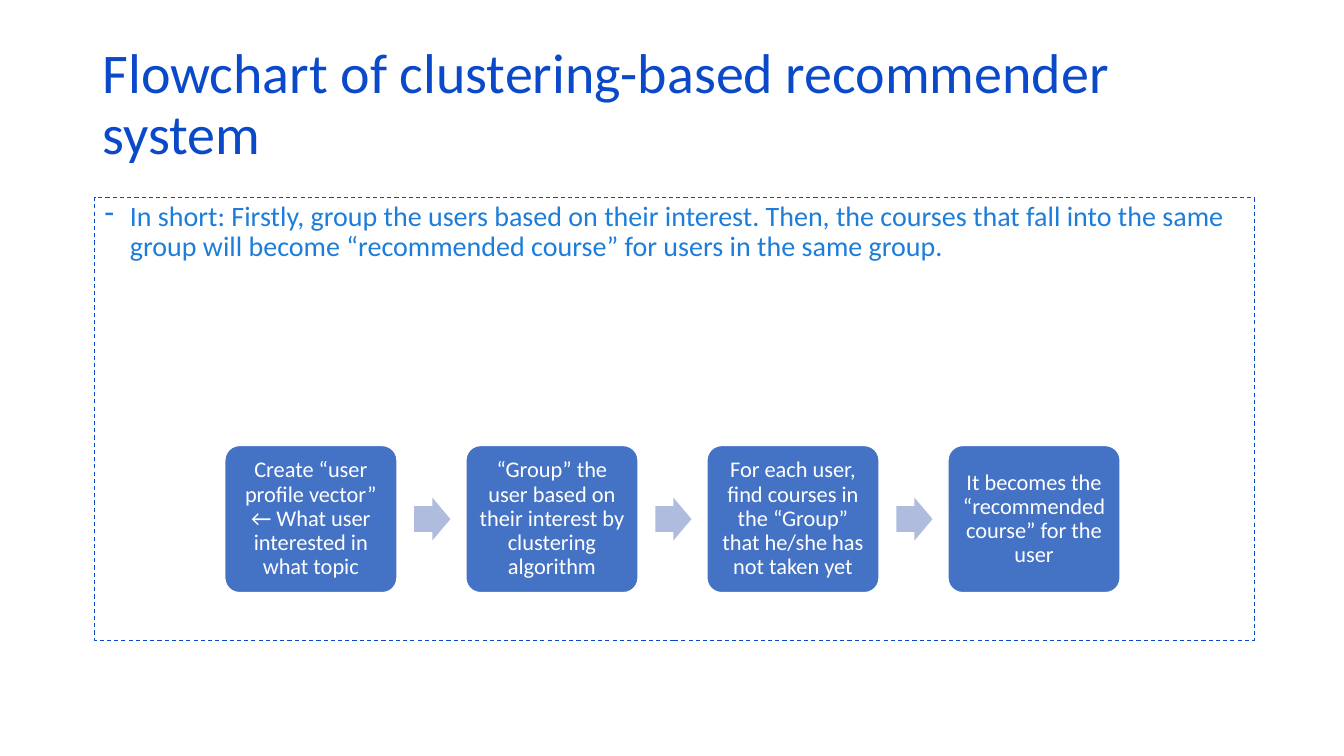
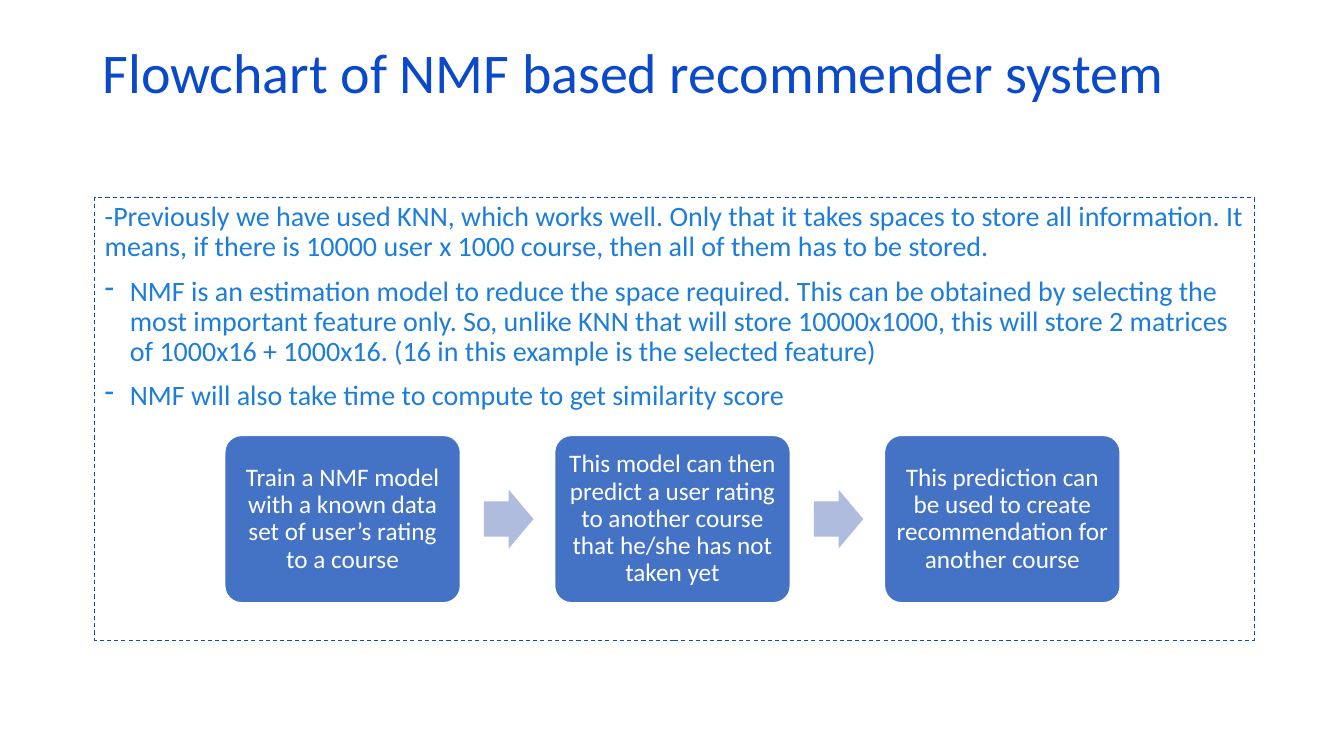
from lxml import etree
from pptx import Presentation, util as u
from pptx.dml.color import RGBColor
from pptx.enum import dml, shapes, text
from pptx.oxml import ns

WIDTH, HEIGHT = 13.33, 7.5
FONT = "Calibri"
COLORS = {"title": "0B49CB", "body": "1C7DDB", "box": "4472C4",
          "arrow": "B0BCDE", "white": "FFFFFF"}
TITLE_AREA = (0.92, 0.4, 11.5, 1.45)
BODY_AREA = (0.94, 1.96, 11.5, 4.39)
FLOW_LEFT, FLOW_WIDTH, FLOW_MIDDLE = 2.23, 8.88, 5.15
GAP_SHARE, ARROW_WIDTH_SHARE, ARROW_HEIGHT_SHARE = 0.4, 0.21, 0.25
INDENT = 0.25

SLIDES = [
    {
        "title": "Flowchart of clustering-based recommender system",
        "body": [
            ("-", "In short: Firstly, group the users based on their interest. Then, the courses that fall into the same group will become “recommended course” for users in the same group."),
        ],
        "steps": [
            "Create “user profile vector” ← What user interested in what topic",
            "“Group” the user based on their interest by clustering algorithm",
            "For each user, find courses in the “Group” that he/she has not taken yet",
            "It becomes the “recommended course” for the user",
        ],
        "step_height": 1.46,
        "step_size": 16,
    },
    {
        "title": "Flowchart of NMF based recommender system",
        "body": [
            (None, "-Previously we have used KNN, which works well. Only that it takes spaces to store all information. It means, if there is 10000 user x 1000 course, then all of them has to be stored."),
            ("-", "NMF is an estimation model to reduce the space required. This can be obtained by selecting the most important feature only. So, unlike KNN that will store 10000x1000, this will store 2 matrices of 1000x16 + 1000x16. (16 in this example is the selected feature)"),
            ("-", "NMF will also take time to compute to get similarity score"),
        ],
        "steps": [
            "Train a NMF model with a known data set of user’s rating to a course",
            "This model can then predict a user rating to another course that he/she has not taken yet",
            "This prediction can be used to create recommendation for another course",
        ],
        "step_height": 1.66,
        "step_size": 18,
    },
]


def color(name):
    return RGBColor.from_string(COLORS[name])


def set_all(target, values):
    for name, value in values.items():
        setattr(target, name, value)


def add_box(slide, kind, area, fill=None, line=None, line_width=1, adjustments=()):
    shape = slide.shapes.add_shape(kind, *(u.Inches(length) for length in area))
    shape.shadow.inherit = False
    for index, value in enumerate(adjustments):
        shape.adjustments[index] = value
    for part, name in ((shape.fill, fill), (shape.line.fill, line)):
        if name:
            part.solid()
            part.fore_color.rgb = color(name)
        else:
            part.background()
    if line:
        shape.line.width = u.Pt(line_width)
    return shape


def add_bullet(paragraph, symbol):
    properties = paragraph._p.get_or_add_pPr()
    properties.set("marL", str(u.Inches(INDENT)))
    properties.set("indent", str(-u.Inches(INDENT)))
    bullet = etree.SubElement(properties, ns.qn("a:buChar"))
    bullet.set("char", symbol)


def write(shape, paragraphs, size, name, align=text.PP_ALIGN.LEFT,
          anchor=text.MSO_ANCHOR.TOP, before=0, inset=None):
    frame = shape.text_frame
    set_all(frame, {"word_wrap": True, "vertical_anchor": anchor})
    if inset is not None:
        set_all(frame, {f"margin_{side}": u.Inches(inset)
                        for side in ("left", "top", "right", "bottom")})
    for index, (symbol, words) in enumerate(paragraphs):
        paragraph = frame.add_paragraph() if index else frame.paragraphs[0]
        set_all(paragraph, {"alignment": align, "line_spacing": 0.9,
                            "space_before": u.Pt(before)})
        if symbol:
            add_bullet(paragraph, symbol)
        run = paragraph.add_run()
        run.text = words
        set_all(run.font, {"name": FONT, "size": u.Pt(size)})
        run.font.color.rgb = color(name)


def add_flow(slide, steps, height, size):
    count = len(steps)
    width = FLOW_WIDTH / (count + GAP_SHARE * (count - 1))
    pitch = width * (1 + GAP_SHARE)
    arrow_width, arrow_height = width * ARROW_WIDTH_SHARE, width * ARROW_HEIGHT_SHARE
    for index, step in enumerate(steps):
        left = FLOW_LEFT + index * pitch
        box = add_box(slide, shapes.MSO_SHAPE.ROUNDED_RECTANGLE,
                      (left, FLOW_MIDDLE - height / 2, width, height),
                      "box", "white", adjustments=(0.1,))
        write(box, [(None, step)], size, "white", text.PP_ALIGN.CENTER,
              text.MSO_ANCHOR.MIDDLE, inset=0.07)
        if index < count - 1:
            add_box(slide, shapes.MSO_SHAPE.RIGHT_ARROW,
                    (left + width * 1.1, FLOW_MIDDLE - arrow_height / 2,
                     arrow_width, arrow_height),
                    "arrow", adjustments=(0.6, 0.5))


def build_slide(presentation, content):
    slide = presentation.slides.add_slide(presentation.slide_layouts[6])
    title = slide.shapes.add_textbox(*(u.Inches(length) for length in TITLE_AREA))
    write(title, [(None, content["title"])], 40, "title")
    body = add_box(slide, shapes.MSO_SHAPE.RECTANGLE, BODY_AREA,
                   line="title", line_width=0.75)
    body.line.dash_style = dml.MSO_LINE.DASH
    write(body, content["body"], 20, "body", before=10)
    add_flow(slide, content["steps"], content["step_height"], content["step_size"])


def main():
    presentation = Presentation()
    set_all(presentation, {"slide_width": u.Inches(WIDTH),
                           "slide_height": u.Inches(HEIGHT)})
    for content in SLIDES:
        build_slide(presentation, content)
    presentation.save("out.pptx")


if __name__ == "__main__":
    main()
